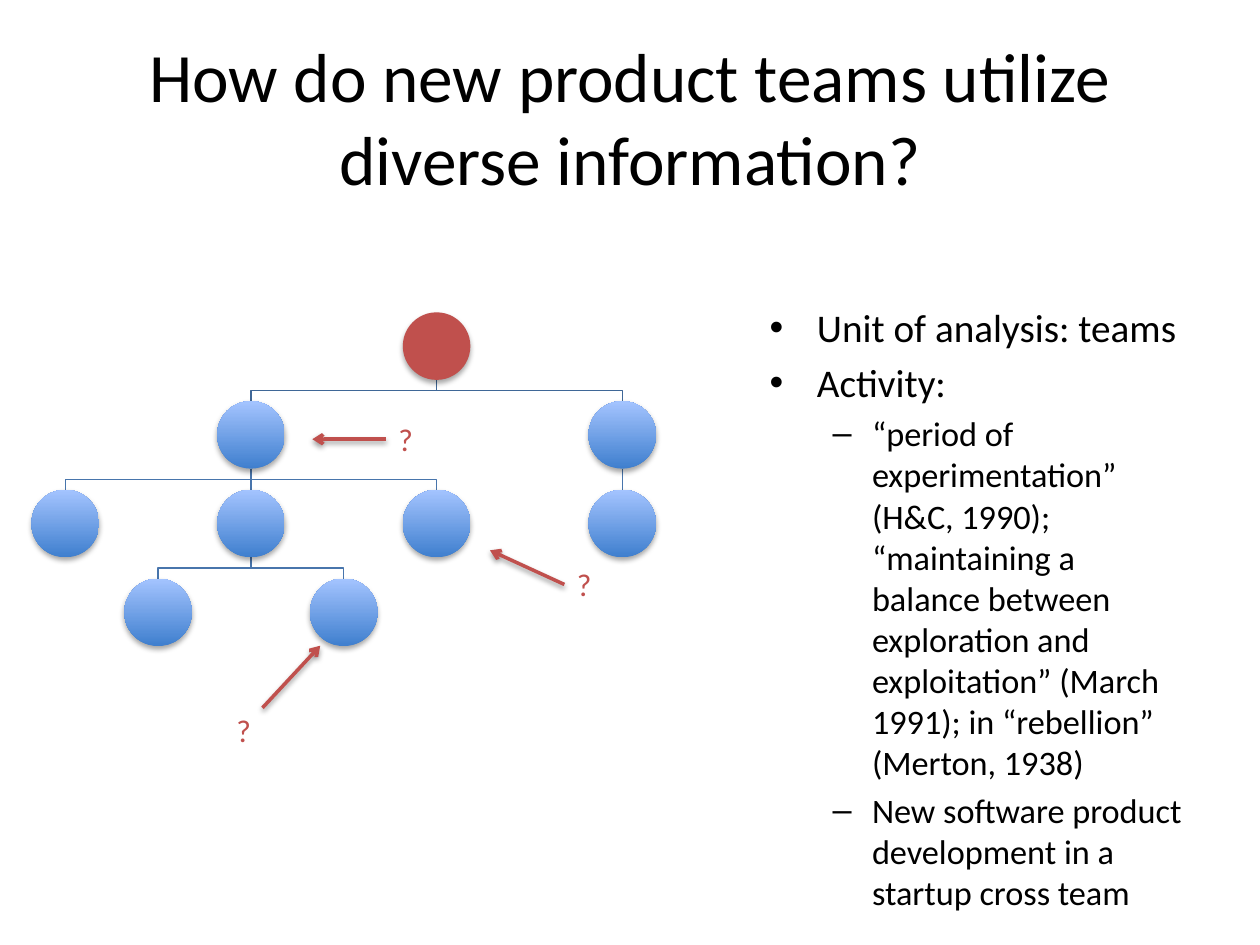
from lxml.etree import SubElement as Sub
from pptx import Presentation
from pptx.dml.color import RGBColor as RGB
from pptx.enum.shapes import MSO_CONNECTOR as Conn, MSO_SHAPE as Shape
from pptx.enum.text import MSO_ANCHOR as Anchor, PP_ALIGN as Align
from pptx.oxml.ns import qn
from pptx.util import Pt

BLACK = RGB(0x00, 0x00, 0x00)
RED = RGB(0xC0, 0x50, 0x4D)
DEEP = RGB(0x3F, 0x7F, 0xCE)
PALE = RGB(0xA4, 0xC4, 0xFF)
EDGE_TOP = RGB(0x3F, 0x67, 0x97)
EDGE = RGB(0x48, 0x75, 0xAC)
FONT = "Calibri"

TITLE = "How do new product teams utilize diverse information?"
BODY = [
    (0, "Unit of analysis: teams"),
    (0, "Activity:"),
    (1, "“period of experimentation” (H&C, 1990); “maintaining a balance "
        "between exploration and exploitation” (March 1991); "
        "in “rebellion” (Merton, 1938)"),
    (1, "New software product development in a startup cross team"),
]
# Per level: bullet, size, left margin, hanging indent
LEVELS = [("•", 22.4, 27, 27), ("–", 19.6, 58.5, 22.5)]

# Nodes as (half column, row); each edge joins a parent to a child
ROOT = (4, 0)
EDGES = [
    (ROOT, (2, 1)), (ROOT, (6, 1)),
    ((2, 1), (0, 2)), ((2, 1), (2, 2)), ((2, 1), (4, 2)), ((6, 1), (6, 2)),
    ((2, 2), (1, 3)), ((2, 2), (3, 3)),
]
# Arrow start, arrow end, label corner, relative to the tree box
ASKS = [
    ((304.5, 155.5), (262, 136), (304.5, 141)),
    ((132, 226), (165, 190.5), (110, 224.5)),
    ((202.5, 72.5), (160.5, 72.5), (202.5, 58)),
]


def font(para, size, color):
    for run in para.runs:
        run.font.name, run.font.size = FONT, Pt(size)
        run.font.color.rgb = color


def shade(shape, alpha, dist):
    props = shape._element.spPr
    effects = Sub(props, qn("a:effectLst"))
    outer = Sub(effects, qn("a:outerShdw"), blurRad=str(Pt(3.1)),
                dist=str(Pt(dist)), dir="5400000", rotWithShape="0")
    tint = Sub(outer, qn("a:srgbClr"), val="000000")
    Sub(tint, qn("a:alpha"), val=str(alpha * 1000))


def text_box(slide, left, top, width, height, wrap=True):
    frame = slide.shapes.add_textbox(
        Pt(left), Pt(top), Pt(width), Pt(height)).text_frame
    frame.word_wrap = wrap
    return frame


def add_title(slide, left, top, width, height):
    frame = text_box(slide, left, top, width, height)
    frame.vertical_anchor = Anchor.MIDDLE
    para = frame.paragraphs[0]
    para.text, para.alignment = TITLE, Align.CENTER
    font(para, 39.6, BLACK)


def add_body(slide, left, top, width, height):
    frame = text_box(slide, left, top, width, height)
    for i, (level, words) in enumerate(BODY):
        para = frame.add_paragraph() if i else frame.paragraphs[0]
        mark, size, margin, hang = LEVELS[level]
        para.text, para.level = words, level
        para.space_before = Pt(round(size * 0.2, 1))
        font(para, size, BLACK)
        props = para._p.get_or_add_pPr()
        props.set("marL", str(Pt(margin)))
        props.set("indent", str(-Pt(hang)))
        Sub(props, qn("a:buFont"), typeface="Arial")
        Sub(props, qn("a:buChar"), char=mark)


def add_tree(slide, left, top, size=38.6, half=53.05, step=50.7):
    def center(node):
        return left + size / 2 + node[0] * half, top + size / 2 + node[1] * step

    # Edges: elbows turn halfway between the circles
    for parent, child in EDGES:
        (x1, y1), (x2, y2) = center(parent), center(child)
        y1, y2 = y1 + size / 2, y2 - size / 2
        if x1 == x2:
            line = slide.shapes.add_connector(
                Conn.STRAIGHT, Pt(x1), Pt(y1), Pt(x2), Pt(y2))
            Sub(line._element.spPr, qn("a:effectLst"))
        else:
            mid = (y1 + y2) / 2
            path = slide.shapes.build_freeform(Pt(x1), Pt(y1))
            path.add_line_segments(
                [(Pt(x), Pt(y)) for x, y in ((x1, mid), (x2, mid), (x2, y2))],
                close=False)
            line = path.convert_to_shape()
            line.fill.background()
            line.shadow.inherit = False
        line.line.color.rgb = EDGE_TOP if parent == ROOT else EDGE
        line.line.width = Pt(0.75)

    # Circles
    for node in [ROOT] + [child for _, child in EDGES]:
        x, y = center(node)
        disc = slide.shapes.add_shape(
            Shape.OVAL, Pt(x - size / 2), Pt(y - size / 2), Pt(size), Pt(size))
        if node == ROOT:
            disc.fill.solid()
            disc.fill.fore_color.rgb = RED
        else:
            disc.fill.gradient()
            disc.fill.gradient_angle = 90
            for stop, color in zip(disc.fill.gradient_stops, (DEEP, PALE)):
                stop.color.rgb = color
        disc.line.fill.background()
        shade(disc, 35, 1.8)


def add_asks(slide, left, top):
    for (x1, y1), (x2, y2), (x, y) in ASKS:
        arrow = slide.shapes.add_connector(
            Conn.STRAIGHT, Pt(left + x1), Pt(top + y1),
            Pt(left + x2), Pt(top + y2))
        arrow.line.color.rgb, arrow.line.width = RED, Pt(2)
        Sub(arrow.line._get_or_add_ln(), qn("a:tailEnd"), type="arrow")
        shade(arrow, 38, 1.6)
        frame = text_box(slide, left + x, top + y, 23, 29, wrap=False)
        frame.text = "?"
        font(frame.paragraphs[0], 18, RED)


deck = Presentation()
deck.slide_width, deck.slide_height = Pt(720), Pt(540)
page = deck.slides.add_slide(deck.slide_layouts[6])
add_title(page, 36, 21.6, 648, 90)
add_tree(page, 18, 178.5)
add_asks(page, 18, 178.5)
add_body(page, 432.7, 170, 251.3, 334)
deck.save("out.pptx")
